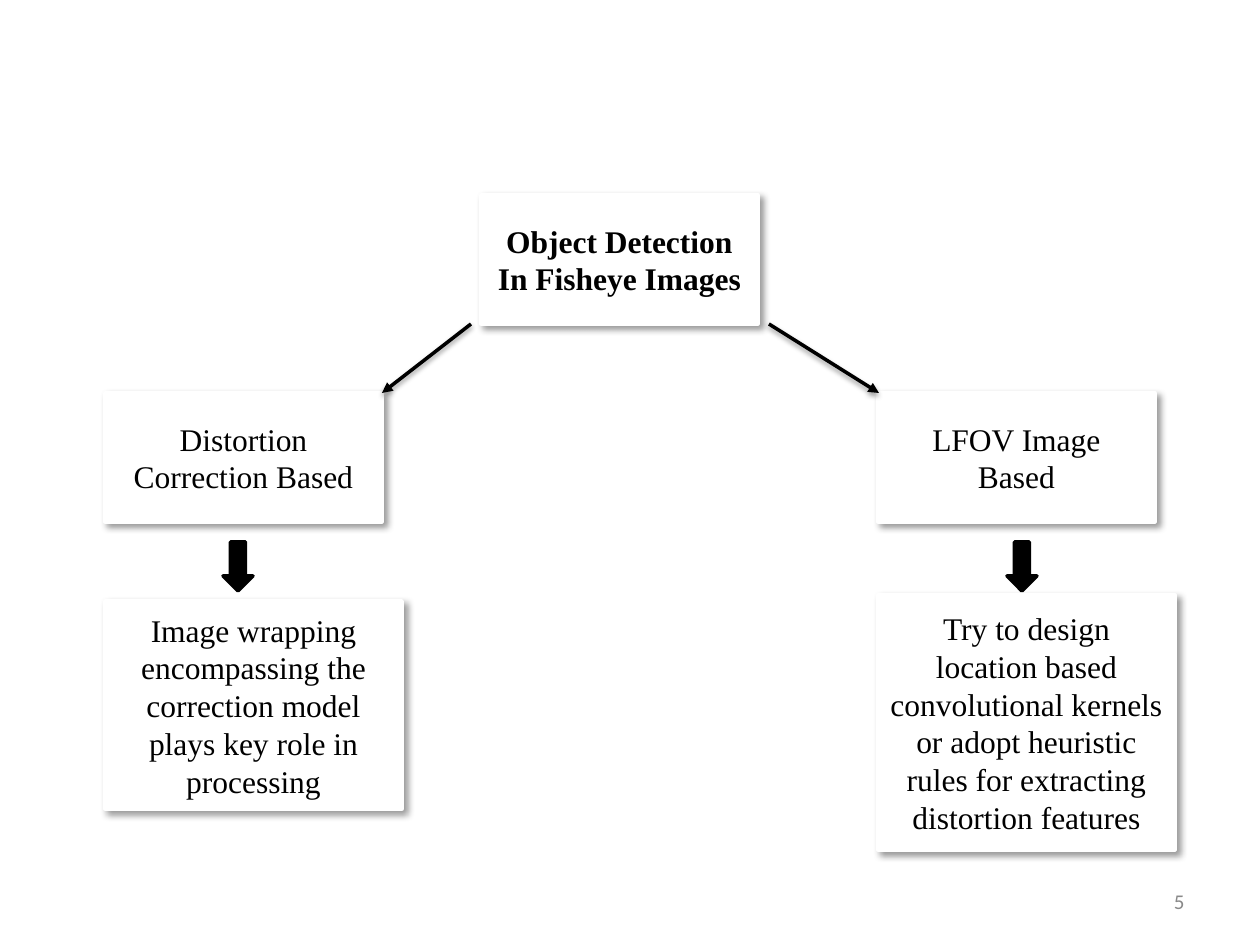
from lxml import etree
from pptx import Presentation, util as u
from pptx.dml.color import RGBColor
from pptx.enum import shapes, text
from pptx.oxml.ns import qn

PX = 914400 // 126
BLACK, WHITE, GREY = "000000", "FFFFFF", "898989"
SERIF = "Times New Roman"
LEFT, RIGHT = 105, 878
BRANCH_Y = 393

# text, left, top, width, height, bold
BOXES = [
    ("Distortion Correction Based", LEFT, BRANCH_Y, 277, 129, False),
    ("Object Detection In Fisheye Images", 481, 195, 277, 129, True),
    ("LFOV Image Based", RIGHT, BRANCH_Y, 277, 129, False),
    ("Image wrapping encompassing the correction model plays key role in processing",
     LEFT, 601, 297, 208, False),
    ("Try to design location based convolutional kernels or adopt heuristic rules "
     "for extracting distortion features", RIGHT, 595, 297, 255, False),
]
BRANCHES = [(471, 324, 382, BRANCH_Y), (769, 324, 879, BRANCH_Y)]
DOWN_ARROWS = [(223, 542, 30, 49), (1007, 542, 30, 49)]
PAGE = ("5", 903, 876, 294, 50)

# opacity %, blur pt, distance pt, angle in degrees
BOX_SHADOW = (40, 4, 3, 45)
LINE_SHADOW = (38, 3.1, 1.6, 90)


def rgb(value):
    return RGBColor.from_string(value)


def emu(*lengths):
    return [n * PX for n in lengths]


def set_line(sp, color):
    sp.line.color.rgb = rgb(color)
    sp.line.width = u.Pt(2)


def set_shadow(sp, opacity, blur, dist, angle):
    """Add an outer shadow; call after the line is set, to keep the XML order."""
    effects = etree.SubElement(sp._element.spPr, qn("a:effectLst"))
    outer = etree.SubElement(
        effects, qn("a:outerShdw"), blurRad=str(u.Pt(blur)), dist=str(u.Pt(dist)),
        dir=str(angle * 60000), algn="ctr", rotWithShape="0")
    color = etree.SubElement(outer, qn("a:srgbClr"), val=BLACK)
    etree.SubElement(color, qn("a:alpha"), val=str(opacity * 1000))


def set_text(sp, words, font, size, color, align, bold=False):
    tf = sp.text_frame
    tf.word_wrap = True
    tf.vertical_anchor = text.MSO_ANCHOR.MIDDLE
    p = tf.paragraphs[0]
    p.text = words
    p.alignment = align
    p.font.name, p.font.size, p.font.bold = font, u.Pt(size), bold
    p.font.color.rgb = rgb(color)


def add_filled(s, kind, color, *box):
    sp = s.shapes.add_shape(kind, *emu(*box))
    sp.fill.solid()
    sp.fill.fore_color.rgb = rgb(color)
    set_line(sp, color)
    return sp


def main():
    prs = Presentation()
    prs.slide_width, prs.slide_height = u.Inches(10), u.Inches(7.5)
    s = prs.slides.add_slide(prs.slide_layouts[6])

    number, *place = PAGE
    set_text(s.shapes.add_textbox(*emu(*place)), number, "Calibri", 12, GREY,
             text.PP_ALIGN.RIGHT)

    for words, *box, bold in BOXES:
        sp = add_filled(s, shapes.MSO_SHAPE.RECTANGLE, WHITE, *box)
        set_shadow(sp, *BOX_SHADOW)
        set_text(sp, words, SERIF, 18, BLACK, text.PP_ALIGN.CENTER, bold)

    for ends in BRANCHES:
        line = s.shapes.add_connector(shapes.MSO_CONNECTOR.STRAIGHT, *emu(*ends))
        set_line(line, BLACK)
        etree.SubElement(line.line._get_or_add_ln(), qn("a:tailEnd"), type="triangle")
        set_shadow(line, *LINE_SHADOW)

    for box in DOWN_ARROWS:
        sp = add_filled(s, shapes.MSO_SHAPE.DOWN_ARROW, BLACK, *box)
        sp.shadow.inherit = False

    prs.save("out.pptx")


if __name__ == "__main__":
    main()
